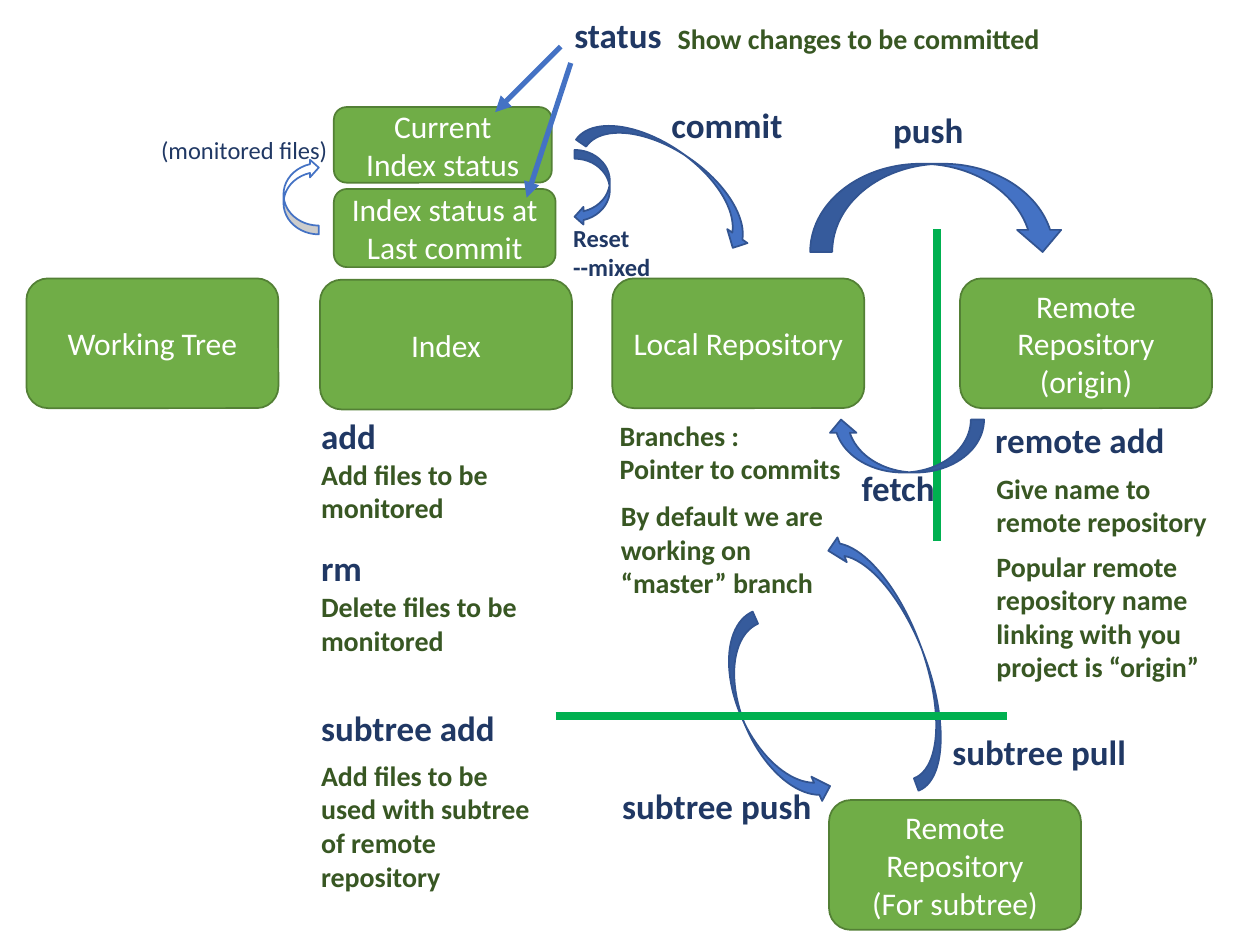
from dataclasses import dataclass
from pptx import Presentation
from pptx import util as u
from pptx.dml.color import RGBColor
from pptx.enum import shapes, text
from pptx.oxml import ns
from lxml import etree


@dataclass(frozen=True)
class Theme:
    font: str = "Calibri"
    white: str = "FFFFFF"
    box: str = "70AD47"
    edge: str = "538035"
    blue: str = "4472C4"
    rim: str = "325491"
    wall: str = "00B050"
    navy: str = "203864"
    moss: str = "385723"
    small: int = 14
    note: int = 16
    node: int = 18
    head: int = 20


class Board:
    def __init__(self, slide, theme):
        self.slide, self.theme = slide, theme

    def fill_in(self, frame, words, size, color, bold=False, align=None):
        frame.word_wrap = True
        frame.text = words
        for para in frame.paragraphs:
            para.alignment = align
            font = para.font
            font.name, font.size, font.bold = self.theme.font, u.Pt(size), bold
            font.color.rgb = RGBColor.from_string(color)

    def shape(self, kind, place, fill, line):
        item = self.slide.shapes.add_shape(kind, *map(u.Inches, place))
        item.shadow.inherit = False
        item.fill.solid()
        item.fill.fore_color.rgb = RGBColor.from_string(fill)
        item.line.color.rgb = RGBColor.from_string(line)
        item.line.width = u.Pt(1)
        return item

    def node(self, words, x, y, w=2, h=1.03):
        t = self.theme
        item = self.shape(shapes.MSO_SHAPE.ROUNDED_RECTANGLE, (x, y, w, h), t.box, t.edge)
        item.text_frame.vertical_anchor = text.MSO_ANCHOR.MIDDLE
        self.fill_in(item.text_frame, words, t.node, t.white, align=text.PP_ALIGN.CENTER)

    def curve(self, place, turn=0, flip=False, fill=None, line=None):
        t = self.theme
        item = self.shape(shapes.MSO_SHAPE.CURVED_DOWN_ARROW, place,
                          fill or t.blue, line or t.rim)
        item.rotation = turn
        if flip:
            item._element.spPr.get_or_add_xfrm().set("flipV", "1")

    def label(self, words, x, y, w, h, size, color, bold=True):
        item = self.slide.shapes.add_textbox(*map(u.Inches, (x, y, w, h)))
        self.fill_in(item.text_frame, words, size, color, bold)
        item.text_frame.auto_size = text.MSO_AUTO_SIZE.SHAPE_TO_FIT_TEXT

    def head(self, words, x, y, w):
        self.label(words, x, y, w, 0.44, self.theme.head, self.theme.navy)

    def note(self, words, x, y, w, h=0.64):
        self.label(words, x, y, w, h, self.theme.note, self.theme.moss)

    def line(self, ends, color, width, arrow=False):
        item = self.slide.shapes.add_connector(
            shapes.MSO_CONNECTOR.STRAIGHT, *map(u.Inches, ends))
        item.line.color.rgb = RGBColor.from_string(color)
        item.line.width = u.Pt(width)
        props = item._element.spPr
        if arrow:
            tip = etree.SubElement(props.find(ns.qn("a:ln")), ns.qn("a:tailEnd"))
            tip.set("type", "triangle")
        etree.SubElement(props, ns.qn("a:effectLst"))


theme = Theme()
deck = Presentation()
deck.slide_width, deck.slide_height = u.Inches(10), u.Inches(7.5)
board = Board(deck.slides.add_slide(deck.slide_layouts[6]), theme)

# Places where files live
for words, x, y in [
    ("Working Tree", 0.21, 2.21),
    ("Index", 2.54, 2.22),
    ("Local Repository", 4.86, 2.21),
    ("Remote Repository\n(origin)", 7.62, 2.21),
    ("Remote Repository\n(For subtree)", 6.58, 6.35),
]:
    board.node(words, x, y)
board.node("Index status at Last commit", 2.65, 1.5, 1.76, 0.62)
board.node("Current\nIndex status", 2.65, 0.85, 1.73, 0.6)

# Border between local and remote
board.line((7.44, 1.82, 7.44, 4.29), theme.wall, 4.5)

# Curved arrows: push, commit, reset, fetch, subtree pull, subtree push
for place, turn, flip in [
    ((6.43, 1.3, 2.02, 0.7), 0, False),
    ((4.54, 1.21, 1.61, 0.39), 34.6, False),
    ((4.4, 1.35, 0.6, 0.28), 90, False),
    ((6.57, 3.33, 1.24, 0.42), 180, False),
    ((6.04, 4.99, 2.14, 0.42), 249.4, True),
    ((5.3, 5.47, 1.62, 0.42), 66.1, True),
]:
    board.curve(place, turn, flip)
board.curve((2.09, 1.42, 0.6, 0.28), 270, fill=theme.white, line=theme.blue)

# Border above the subtree remote
board.line((4.41, 5.68, 7.99, 5.68), theme.wall, 4.5)

# Status pointers
for ends in [(4.45, 0.37, 3.93, 0.89), (4.53, 0.5, 4.18, 1.57)]:
    board.line(ends, theme.blue, 3, arrow=True)

# Command names
for words, x, y, w in [
    ("status", 4.46, 0.06, 0.96),
    ("commit", 5.23, 0.77, 1.17),
    ("push", 6.99, 0.81, 0.82),
    ("fetch", 6.74, 3.65, 1.01),
    ("remote add", 7.8, 3.27, 1.84),
    ("add", 2.45, 3.24, 0.74),
    ("rm", 2.45, 4.29, 0.74),
    ("subtree add", 2.45, 5.56, 1.73),
    ("subtree pull", 7.46, 5.75, 2),
    ("subtree push", 4.84, 6.18, 2),
]:
    board.head(words, x, y, w)
board.label("Reset\n--mixed", 4.45, 1.72, 1.09, 0.57, theme.small, theme.navy)
board.label("(monitored files)", 1.18, 1.02, 1.63, 0.34, theme.small, theme.navy, False)

# Explanations
board.note("Show changes to be committed", 5.28, 0.12, 3.15, 0.37)
board.note("Add files to be monitored", 2.45, 3.58, 1.58)
board.note("Delete files to be monitored", 2.45, 4.63, 1.77)
board.note("Add files to be used with subtree of remote repository", 2.45, 5.97, 1.93, 1.18)
board.note("Branches :\nPointer to commits", 4.82, 3.27, 2.06)
board.note("By default we are working on “master” branch", 4.83, 3.91, 2.06, 0.91)
board.note("Give name to remote repository", 7.81, 3.69, 2.06)
board.note("Popular remote repository name linking with you project is “origin”",
           7.81, 4.31, 2.06, 1.18)

deck.save("out.pptx")
